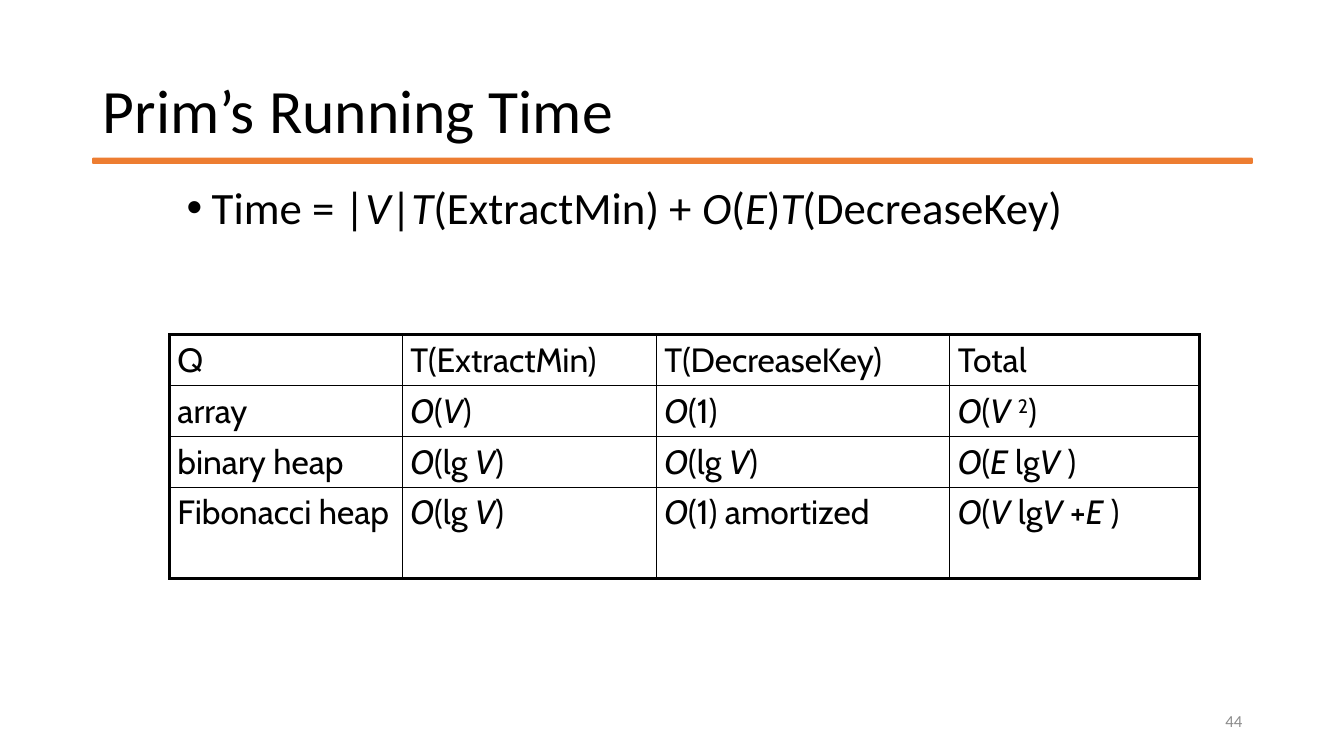
from lxml.etree import SubElement
from pptx import Presentation
from pptx.dml.color import RGBColor
from pptx.enum.shapes import MSO_SHAPE as Shape
from pptx.enum.text import MSO_ANCHOR as Anchor, MSO_AUTO_SIZE as AutoSize, PP_ALIGN as Align
from pptx.oxml.ns import qn
from pptx.util import Inches, Pt

COLORS = {"text": "000000", "accent": "ED7D31", "number": "8C8C8C"}
COLUMN_WIDTHS = [2.31, 2.52, 2.91, 2.48]
ROW_HEIGHTS = [0.5, 0.5, 0.5, 0.9]
FORMULA = "Time = |_V_|_T_(ExtractMin) + _O_(_E_)_T_(DecreaseKey)"
RUNNING_TIMES = [
    ["Q", "T(ExtractMin)", "T(DecreaseKey)", "Total"],
    ["array ", "_O_(_V_)", "_O_(1)", "_O_(_V _^2^)"],
    ["binary heap", "_O_(lg_ V_)", "_O_(lg _V_)", "_O_(_E_ lg_V_ )"],
    ["Fibonacci heap", "_O_(lg_ V_)", "_O_(1) amortized", "_O_(_V_ lg_V_ +_E _)"],
]


def color(name):
    return RGBColor.from_string(COLORS[name])


def place(shape, box):
    shape.left, shape.top, shape.width, shape.height = map(Inches, box)


def write_math(para, markup, font, size, tint="text"):
    """Underscores enclose italics; carets enclose superscripts."""
    para.font.name, para.font.size = font, Pt(size)
    para.font.color.rgb = color(tint)
    for i, style_part in enumerate(markup.split("_")):
        for j, words in enumerate(style_part.split("^")):
            if words:
                span = para.add_run()
                span.text = words
                if i % 2:
                    span.font.italic = True
                if j % 2:
                    span.font._element.set("baseline", "30000")


def add_heading(page, box):
    left, top, width, height = box
    rule = page.shapes.add_shape(Shape.ROUNDED_RECTANGLE, 0, 0, 0, 0)
    place(rule, (left, top + 1.17, width, 0.05))
    rule.shadow.inherit = False
    rule.fill.solid()
    rule.fill.fore_color.rgb = rule.line.color.rgb = color("accent")
    rule.line.width = Pt(1)
    title = page.shapes.title
    place(title, box)
    frame = title.text_frame
    frame.auto_size, frame.vertical_anchor = AutoSize.NONE, Anchor.MIDDLE
    para = frame.paragraphs[0]
    para.alignment, para.line_spacing = Align.LEFT, 0.9
    write_math(para, "Prim’s Running Time", "Calibri", 44)


def add_formula(page, box):
    body = page.placeholders[1]
    place(body, box)
    body.text_frame.auto_size = AutoSize.NONE
    para = body.text_frame.paragraphs[0]
    para.line_spacing, para.space_before = 0.9, Pt(10)
    write_math(para, FORMULA, "Calibri", 32)
    props = para._p.get_or_add_pPr()
    props.set("marL", str(Inches(0.25)))
    props.set("indent", str(-Inches(0.25)))
    bullet_font = SubElement(props, qn("a:buFont"), typeface="Arial")
    bullet = SubElement(props, qn("a:buChar"), char="•")
    props.find(qn("a:defRPr")).addprevious(bullet_font)
    bullet_font.addnext(bullet)


def draw_borders(cell, outer_sides):
    props = cell._tc.get_or_add_tcPr()
    for side in "LRTB":
        width = Pt(2.25 if side in outer_sides else 1)
        line = SubElement(props, qn("a:ln" + side), w=str(width))
        fill = SubElement(line, qn("a:solidFill"))
        SubElement(fill, qn("a:srgbClr"), val=COLORS["text"])


def add_running_times(page, box):
    last_row, last_column = len(ROW_HEIGHTS) - 1, len(COLUMN_WIDTHS) - 1
    frame = page.shapes.add_table(last_row + 1, last_column + 1, *map(Inches, box))
    table = frame.table
    table.first_row = table.horz_banding = False
    for column, width in zip(table.columns, COLUMN_WIDTHS):
        column.width = Inches(width)
    for row, height in zip(table.rows, ROW_HEIGHTS):
        row.height = Inches(height)
    for r, entries in enumerate(RUNNING_TIMES):
        for c, markup in enumerate(entries):
            cell = table.cell(r, c)
            cell.margin_left = cell.margin_right = Inches(0.08)
            cell.margin_top = cell.margin_bottom = Inches(0.05)
            edges = {"L": c == 0, "R": c == last_column, "T": r == 0, "B": r == last_row}
            draw_borders(cell, [side for side, outer in edges.items() if outer])
            cell.fill.background()
            write_math(cell.text_frame.paragraphs[0], markup, "Cabin", 24)


def add_page_number(page, box):
    frame = page.shapes.add_textbox(*map(Inches, box)).text_frame
    frame.word_wrap, frame.vertical_anchor = True, Anchor.MIDDLE
    para = frame.paragraphs[0]
    para.alignment = Align.RIGHT
    write_math(para, "44", "Calibri", 12, "number")


deck = Presentation()
deck.slide_width, deck.slide_height = Inches(13.33), Inches(7.5)
page = deck.slides.add_slide(deck.slide_layouts[1])
add_heading(page, (0.92, 0.4, 11.5, 1.45))
add_formula(page, (1.75, 1.79, 10.14, 1.73))
add_running_times(page, (1.68, 3.32, sum(COLUMN_WIDTHS), sum(ROW_HEIGHTS)))
add_page_number(page, (9.42, 6.95, 3, 0.4))
deck.save("out.pptx")
